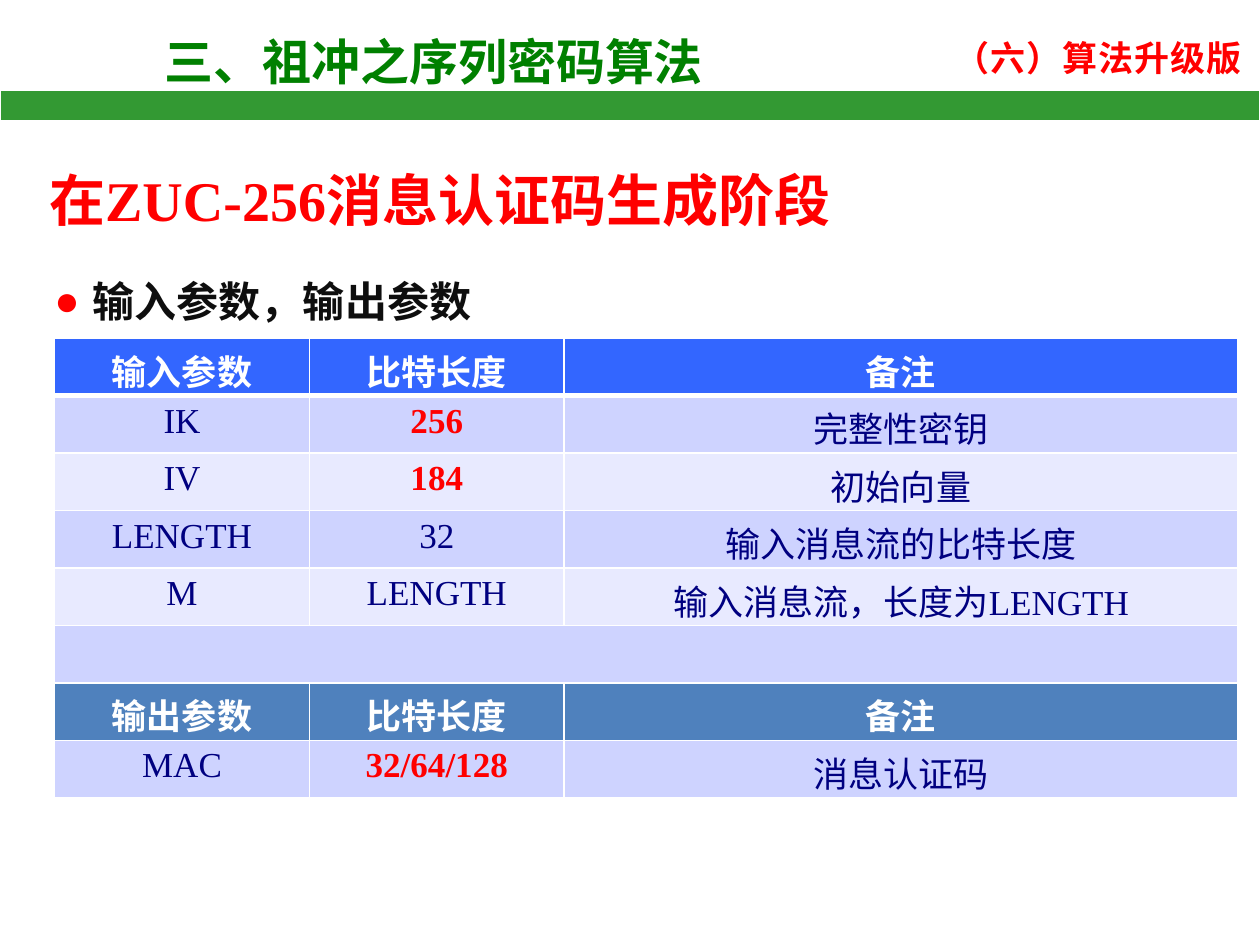
"""Build the slide on the ZUC-256 message authentication code parameters."""
from lxml.etree import SubElement
from pptx import Presentation
from pptx.dml.color import RGBColor
from pptx.enum.shapes import MSO_SHAPE
from pptx.enum.text import PP_ALIGN
from pptx.oxml.ns import qn
from pptx.util import Pt

WHITE = RGBColor(0xFF, 0xFF, 0xFF)
RED = RGBColor(0xFF, 0, 0)
GREEN = RGBColor(0, 0x80, 0)
BAR_GREEN = RGBColor(0x33, 0x99, 0x33)
NAVY = RGBColor(0, 0, 0x80)
INK = RGBColor(0x0E, 0x0E, 0x0E)
INPUT_BLUE = RGBColor(0x33, 0x66, 0xFF)
OUTPUT_BLUE = RGBColor(0x4F, 0x81, 0xBD)
BANDS = (RGBColor(0xE8, 0xEA, 0xFF), RGBColor(0xCE, 0xD3, 0xFF))
SANS = "Noto Sans CJK SC"
SERIF = "Times New Roman"

HEADER_FILLS = {0: INPUT_BLUE, 6: OUTPUT_BLUE}
PARAMETERS = [
    ("输入参数", "比特长度", "备注"),
    ("IK", "256", "完整性密钥"),
    ("IV", "184", "初始向量"),
    ("LENGTH", "32", "输入消息流的比特长度"),
    ("M", "LENGTH", "输入消息流，长度为LENGTH"),
    (),
    ("输出参数", "比特长度", "备注"),
    ("MAC", "32/64/128", "消息认证码"),
]
KEY_LENGTHS = {"256", "184", "32/64/128"}


def write(paragraph, text, size=20, color=NAVY, font=SERIF, bold=True, spacing=0):
    run = paragraph.add_run()
    run.text = text
    run.font.size = Pt(size)
    run.font.bold = bold
    run.font.name = font
    run.font.color.rgb = color
    properties = run._r.get_or_add_rPr()
    SubElement(properties, qn("a:ea")).set("typeface", SANS)
    if spacing:
        properties.set("spc", str(round(spacing * 100)))


class SlideBuilder:
    def __init__(self, slide):
        self.slide = slide

    def bar(self, left, top, width, height):
        bar = self.slide.shapes.add_shape(
            MSO_SHAPE.RECTANGLE, Pt(left), Pt(top), Pt(width), Pt(height))
        bar.shadow.inherit = False
        bar.fill.solid()
        bar.fill.fore_color.rgb = BAR_GREEN
        bar.line.color.rgb = WHITE
        bar.line.width = Pt(0.75)

    def label(self, text, left, top, width, height, wrap=True, bullet=False,
              line_spacing=None, **style):
        frame = self.slide.shapes.add_textbox(
            Pt(left), Pt(top), Pt(width), Pt(height)).text_frame
        frame.word_wrap = wrap
        paragraph = frame.paragraphs[0]
        if line_spacing:
            paragraph.line_spacing = line_spacing
        if bullet:
            self.bullet(paragraph)
        write(paragraph, text, **style)

    def bullet(self, paragraph):
        properties = paragraph._p.get_or_add_pPr()
        properties.set("marL", str(Pt(57)))
        properties.set("indent", str(-Pt(21.5)))
        color = SubElement(properties, qn("a:buClr"))
        SubElement(color, qn("a:srgbClr")).set("val", str(RED))
        SubElement(properties, qn("a:buFont")).set("typeface", "Arial")
        SubElement(properties, qn("a:buChar")).set("char", "●")

    def borders(self, cell, bottom):
        properties = cell._tc.get_or_add_tcPr()
        for side, width in (("L", 1), ("R", 1), ("T", 1), ("B", bottom)):
            line = SubElement(properties, qn(f"a:ln{side}"), w=str(Pt(width)))
            fill = SubElement(line, qn("a:solidFill"))
            SubElement(fill, qn("a:srgbClr")).set("val", str(WHITE))

    def parameter_table(self, left, top, widths, row_height):
        table = self.slide.shapes.add_table(
            len(PARAMETERS), len(widths), Pt(left), Pt(top),
            Pt(sum(widths)), Pt(row_height * len(PARAMETERS))).table
        table.horz_banding = False
        for column, width in zip(table.columns, widths):
            column.width = Pt(width)
        for index, texts in enumerate(PARAMETERS):
            table.rows[index].height = Pt(row_height)
            header = index in HEADER_FILLS
            for column in range(len(widths)):
                cell = table.cell(index, column)
                cell.margin_bottom = 0
                self.borders(cell, bottom=1 if index else 3)
                cell.fill.solid()
                cell.fill.fore_color.rgb = HEADER_FILLS.get(index, BANDS[index % 2])
                if texts:
                    text = texts[column]
                    key = text in KEY_LENGTHS
                    paragraph = cell.text_frame.paragraphs[0]
                    paragraph.alignment = PP_ALIGN.CENTER
                    write(paragraph, text, bold=header or key,
                          font="Arial" if index == 6 else SERIF,
                          color=WHITE if header else RED if key else NAVY)
            if not texts:
                table.cell(index, 0).merge(table.cell(index, len(widths) - 1))


def main():
    deck = Presentation()
    deck.slide_width, deck.slide_height = Pt(720), Pt(540)
    page = SlideBuilder(deck.slides.add_slide(deck.slide_layouts[6]))
    page.label("（六）算法升级版", 538.5, 17.5, 181.5, 31.5, wrap=False,
               font=SANS, color=RED, spacing=0.5)
    page.label("三、祖冲之序列密码算法", 87, 14.5, 342, 41,
               size=28, font=SANS, color=GREEN)
    page.bar(0, 51.8, 720, 17)
    page.label("在ZUC-256消息认证码生成阶段", 21, 83.5, 631, 49.5,
               line_spacing=1.2, size=32, color=RED)
    page.label("输入参数，输出参数", -11.5, 148.3, 680, 39, bullet=True,
               line_spacing=1.2, size=24, font=SANS, color=INK, spacing=0.1)
    page.parameter_table(31.2, 193.3, (145.6, 145.6, 385), 32.85)
    deck.save("out.pptx")


if __name__ == "__main__":
    main()
